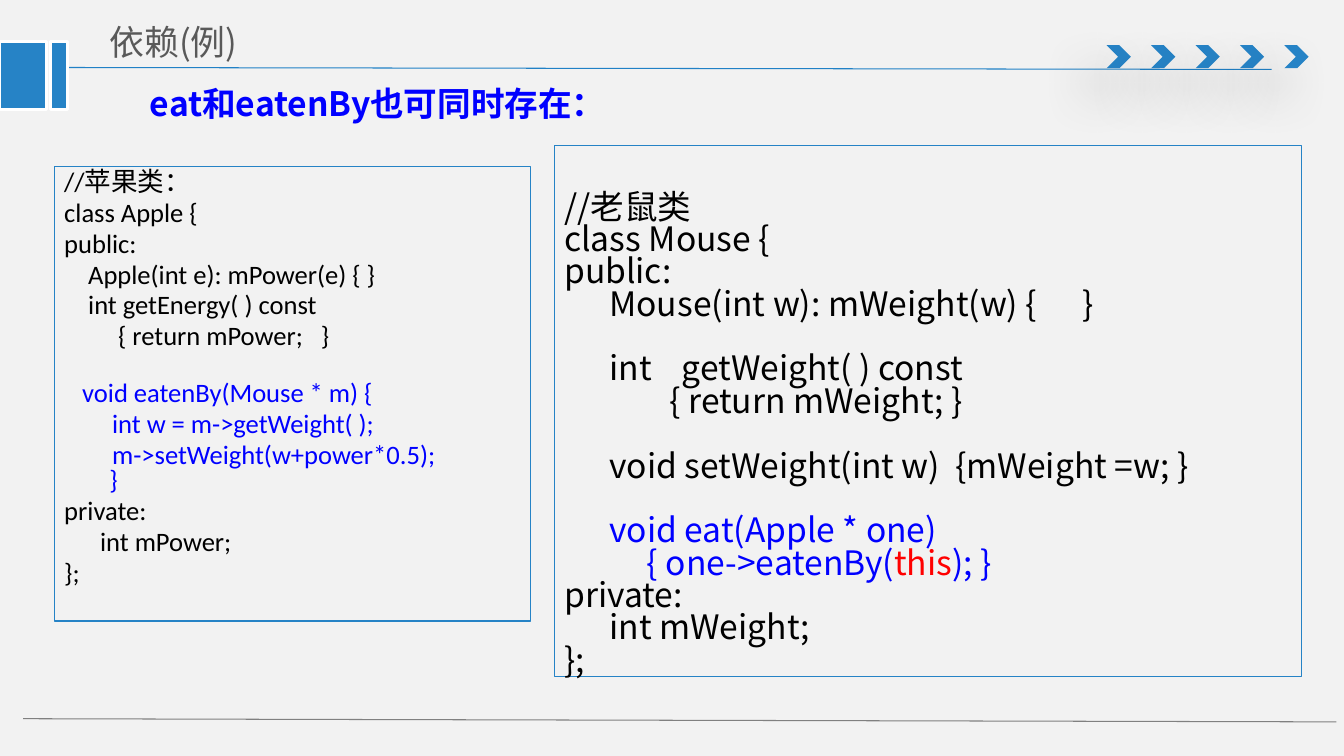
from dataclasses import dataclass

import lxml.etree
import pptx
import pptx.dml.color
import pptx.enum.shapes
import pptx.enum.text
import pptx.oxml
import pptx.oxml.ns
import pptx.util
from pptx.util import Cm, Pt

Color = pptx.dml.color.RGBColor
ShapeType = pptx.enum.shapes.MSO_SHAPE
Anchor = pptx.enum.text.MSO_ANCHOR
qn = pptx.oxml.ns.qn


@dataclass(frozen=True)
class Theme:
    background: Color = Color(0xF2, 0xF2, 0xF2)
    accent: Color = Color(0x26, 0x83, 0xC6)
    rule: Color = Color(0x21, 0x81, 0xC6)
    footer: Color = Color(0x80, 0x80, 0x80)
    white: Color = Color(0xFF, 0xFF, 0xFF)
    title: Color = Color(0x59, 0x59, 0x59)
    code: Color = Color(0, 0, 0)
    focus: Color = Color(0, 0, 0xFF)
    alert: Color = Color(0xFF, 0, 0)
    latin: str = "Calibri"
    chinese: str = "Noto Sans CJK SC"
    title_size: float = 24.9
    large_size: float = 24
    small_size: float = 19


THEME = Theme()


@dataclass(frozen=True)
class Box:
    left: float
    top: float
    width: float
    height: float

    def lengths(self) -> tuple:
        return Cm(self.left), Cm(self.top), Cm(self.width), Cm(self.height)


@dataclass(frozen=True)
class Span:
    text: str
    color: Color = THEME.code


@dataclass(frozen=True)
class Line:
    spans: tuple[Span, ...]
    space_before: float = 0


@dataclass(frozen=True)
class TextStyle:
    size: float
    font: str
    line_spacing: float | pptx.util.Length = 1.0
    bold: bool = False
    hanging: float = 0


def line(text: str, color: Color = THEME.code, space_before: float = 0) -> Line:
    return Line((Span(text, color),), space_before)


def format_run(run, color: Color, style: TextStyle) -> None:
    run.font.size = Pt(style.size)
    run.font.name = style.font
    run.font.bold = style.bold
    run.font.color.rgb = color
    east_asian = lxml.etree.Element(qn("a:ea"), typeface=THEME.chinese)
    run.font._element.find(qn("a:latin")).addnext(east_asian)


def write_lines(shape, lines: list[Line], style: TextStyle) -> None:
    frame = shape.text_frame
    frame.word_wrap = True
    for index, item in enumerate(lines):
        paragraph = frame.add_paragraph() if index else frame.paragraphs[0]
        paragraph.alignment = pptx.enum.text.PP_ALIGN.LEFT
        paragraph.line_spacing = style.line_spacing
        if index:
            paragraph.space_before = Pt(item.space_before)
        if style.hanging:
            properties = paragraph._p.get_or_add_pPr()
            properties.set("marL", str(Cm(style.hanging)))
            properties.set("indent", str(-Cm(style.hanging)))
        first, *others = item.spans
        paragraph.text = first.text
        for run in paragraph.runs:
            format_run(run, first.color, style)
        for span in others:
            run = paragraph.add_run()
            run.text = span.text
            format_run(run, span.color, style)


def add_panel(slide, kind, box: Box, fill: Color | None = None,
              outline: Color | None = None, outline_width: float = 0.75):
    shape = slide.shapes.add_shape(kind, *box.lengths())
    shape.shadow.inherit = False
    if fill is None:
        shape.fill.background()
    else:
        shape.fill.solid()
        shape.fill.fore_color.rgb = fill
    if outline is None:
        shape.line.fill.background()
    else:
        shape.line.color.rgb = outline
        shape.line.width = Pt(outline_width)
    shape.text_frame.vertical_anchor = Anchor.TOP
    return shape


def add_rule(slide, start: tuple[float, float], end: tuple[float, float], color: Color) -> None:
    connector = slide.shapes.add_connector(
        pptx.enum.shapes.MSO_CONNECTOR.STRAIGHT, *map(Cm, start + end))
    connector.line.color.rgb = color
    connector.line.width = Pt(0.75)
    lxml.etree.SubElement(connector._element.spPr, qn("a:effectLst"))


def add_soft_shadow(shape) -> None:
    effects = shape._element.spPr.find(qn("a:effectLst"))
    shadow = lxml.etree.SubElement(effects, qn("a:outerShdw"), blurRad=str(Pt(36)),
                                   dist=str(Pt(24)), dir=str(130 * 60000))
    color = lxml.etree.SubElement(shadow, qn("a:srgbClr"), val="000000")
    lxml.etree.SubElement(color, qn("a:alpha"), val="38000")


def add_text(slide, box: Box, item: Line, style: TextStyle, anchor) -> None:
    shape = slide.shapes.add_textbox(*box.lengths())
    shape.text_frame.vertical_anchor = anchor
    write_lines(shape, [item], style)


SMALL_GAP = 3.8  # a fifth of the type size
SMALL_BLANK = 22.3  # one empty line
LARGE_PITCH = 23.1

APPLE_CODE = [
    line("//苹果类："),
    line("class Apple {", space_before=SMALL_GAP),
    line("public:", space_before=SMALL_GAP),
    line("    Apple(int e): mPower(e) { }", space_before=SMALL_GAP),
    line("    int getEnergy( ) const", space_before=SMALL_GAP),
    line("         { return mPower;   }", space_before=SMALL_GAP),
    line("   void eatenBy(Mouse * m) {", THEME.focus, SMALL_BLANK),
    line("        int w = m->getWeight( );", THEME.focus, SMALL_GAP),
    line("        m->setWeight(w+power*0.5);\v}", THEME.focus, SMALL_GAP),
    line("private:", space_before=SMALL_GAP),
    line("      int mPower;", space_before=SMALL_GAP),
    line("};", space_before=SMALL_GAP),
]

MOUSE_CODE = [
    line("//老鼠类"),
    line("class Mouse {"),
    line("public:"),
    line("      Mouse(int w): mWeight(w) {      }"),
    line("      int    getWeight( ) const", space_before=LARGE_PITCH),
    line("              { return mWeight; }"),
    line("      void setWeight(int w)  {mWeight =w; }", space_before=LARGE_PITCH),
    line("      void eat(Apple * one)", THEME.focus, LARGE_PITCH),
    Line((Span("           { one->eatenBy(", THEME.focus),
          Span("this", THEME.alert), Span("); }", THEME.focus))),
    line("private:"),
    line("      int mWeight;"),
    line("};"),
]


def main() -> None:
    presentation = pptx.Presentation()
    presentation.slide_width, presentation.slide_height = Cm(33.87), Cm(19.05)
    slide = presentation.slides.add_slide(presentation.slide_layouts[6])
    slide.background.fill.solid()
    slide.background.fill.fore_color.rgb = THEME.background

    # Header rule, chevrons, footer rule and corner blocks
    add_rule(slide, (1.35, 1.7), (32.05, 1.75), THEME.rule)
    for index in range(5):
        chevron = add_panel(slide, ShapeType.CHEVRON,
                            Box(27.89 + 1.12 * index, 1.14, 0.61, 0.58), THEME.accent)
        add_soft_shadow(chevron)
    add_rule(slide, (0.58, 18.11), (33.68, 18.19), THEME.footer)
    for left, width in ((0, 1.17), (1.27, 0.43)):
        add_panel(slide, ShapeType.RECTANGLE, Box(left, 1.04, width, 1.73),
                  THEME.accent, THEME.white, 2)

    # Title
    add_text(slide, Box(2.51, 0.36, 11.76, 1.4), line("依赖(例)", THEME.title),
             TextStyle(THEME.title_size, THEME.chinese), Anchor.MIDDLE)

    # Code panels
    apple = add_panel(slide, ShapeType.RECTANGLE, Box(1.37, 4.19, 11.99, 11.46),
                      outline=THEME.accent)
    write_lines(apple, APPLE_CODE, TextStyle(THEME.small_size, THEME.latin, 0.8, hanging=1.14))
    mouse = add_panel(slide, ShapeType.RECTANGLE, Box(13.97, 3.66, 18.82, 13.39),
                      outline=THEME.accent)
    mouse.text_frame.margin_top = Cm(1.22)
    write_lines(mouse, MOUSE_CODE, TextStyle(THEME.large_size, THEME.chinese, Pt(LARGE_PITCH)))

    # Heading above the panels
    add_text(slide, Box(3.53, 1.93, 11.23, 1.27), line("eat和eatenBy也可同时存在：", THEME.focus),
             TextStyle(THEME.large_size, THEME.chinese, Pt(30), bold=True), Anchor.TOP)

    presentation.save("out.pptx")


if __name__ == "__main__":
    main()
